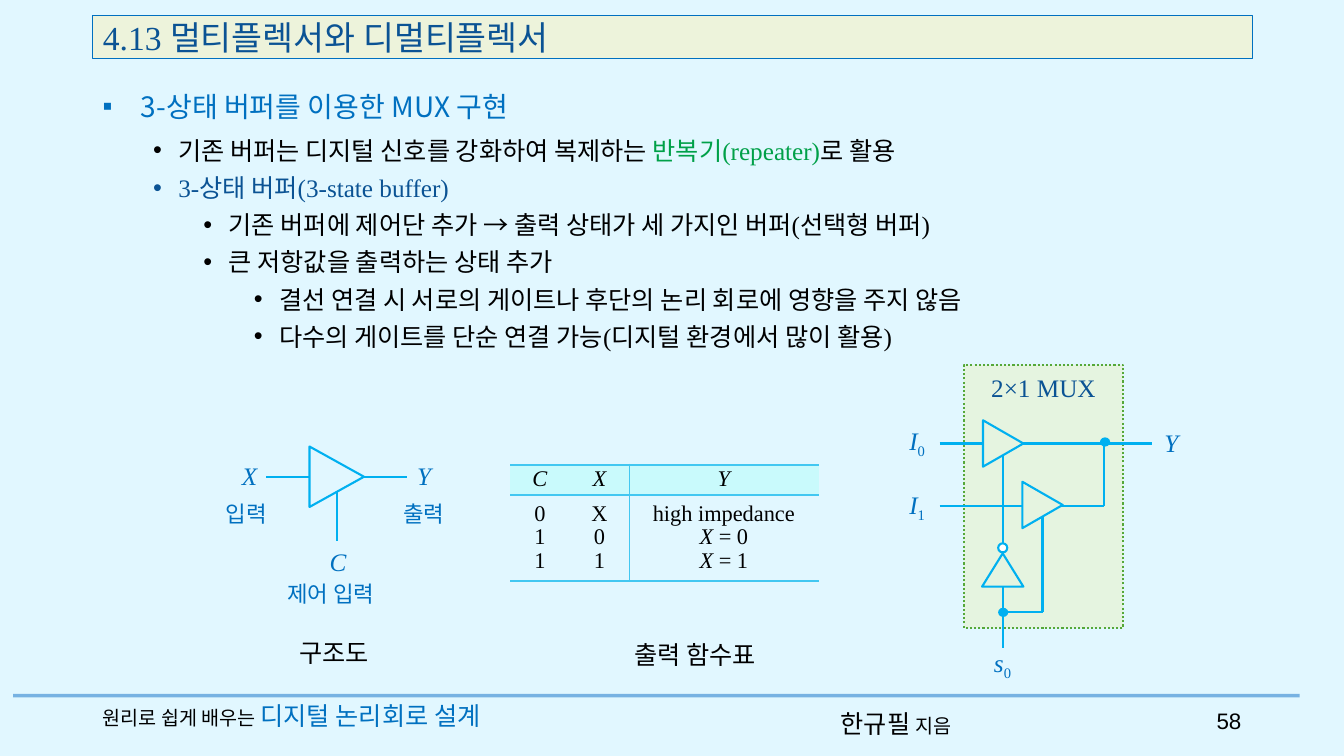
from dataclasses import dataclass
from typing import Optional, Sequence

from lxml.etree import SubElement
from pptx import Presentation
from pptx.dml.color import RGBColor
from pptx.enum.dml import MSO_LINE
from pptx.enum.shapes import MSO_CONNECTOR, MSO_SHAPE
from pptx.enum.text import MSO_ANCHOR, PP_ALIGN
from pptx.oxml.ns import qn
from pptx.util import Inches, Pt

BLACK = RGBColor(0x00, 0x00, 0x00)
WHITE = RGBColor(0xFF, 0xFF, 0xFF)
BLUE = RGBColor(0x00, 0x70, 0xC0)
NAVY = RGBColor(0x0B, 0x53, 0x94)
GREEN = RGBColor(0x00, 0xA0, 0x48)
WIRE = RGBColor(0x00, 0xB0, 0xF0)
RULE = RGBColor(0x0F, 0x6F, 0xC6)
PAGE = RGBColor(0xE1, 0xF7, 0xFF)
TITLE_FILL = RGBColor(0xED, 0xF3, 0xDB)
MUX_FILL = RGBColor(0xE5, 0xF4, 0xE0)
MUX_EDGE = RGBColor(0x55, 0xA8, 0x39)
HEAD_FILL = RGBColor(0xC9, 0xFA, 0xFC)
GRID = RGBColor(0x42, 0xC7, 0xF1)
SERIF, SANS, ARIAL = "Times New Roman", "Noto Sans CJK KR", "Arial"


@dataclass(frozen=True)
class Run:
    text: str
    size: float = 18
    color: RGBColor = BLACK
    italic: bool = False
    sub: bool = False
    font: str = SERIF


@dataclass(frozen=True)
class Label:
    box: tuple
    runs: Sequence[Run]
    align: PP_ALIGN = PP_ALIGN.LEFT
    wrap: bool = True


@dataclass(frozen=True)
class Bullet:
    level: int
    runs: Sequence[Run]


@dataclass(frozen=True)
class Wire:
    x1: float
    y1: float
    x2: float
    y2: float


@dataclass(frozen=True)
class Part:
    kind: MSO_SHAPE
    box: tuple
    fill: RGBColor
    rotation: float = 0


def add_runs(p, runs: Sequence[Run]) -> None:
    for run in runs:
        r = p.add_run()
        r.text = run.text
        r.font.size = Pt(run.size)
        r.font.name = run.font
        r.font.italic = run.italic
        r.font.color.rgb = run.color
        if run.sub:
            r.font._element.set("baseline", "-25000")


def add_bullet(p, char: str, margin: float, hang: float) -> None:
    pPr = p._p.get_or_add_pPr()
    pPr.set("marL", str(Inches(margin)))
    pPr.set("indent", str(-Inches(hang)))
    SubElement(pPr, qn("a:buFont")).set("typeface", ARIAL)
    SubElement(pPr, qn("a:buChar")).set("char", char)


def add_label(s, label: Label):
    tf = s.shapes.add_textbox(*map(Inches, label.box)).text_frame
    tf.word_wrap = label.wrap
    tf.vertical_anchor = MSO_ANCHOR.MIDDLE
    p = tf.paragraphs[0]
    p.alignment = label.align
    add_runs(p, label.runs)
    return p


def add_wire(s, wire: Wire, color: RGBColor = WIRE, width: float = 1.5):
    ends = map(Inches, (wire.x1, wire.y1, wire.x2, wire.y2))
    line = s.shapes.add_connector(MSO_CONNECTOR.STRAIGHT, *ends)
    line.line.color.rgb = color
    line.line.width = Pt(width)
    SubElement(line._element.spPr, qn("a:effectLst"))
    return line


def add_part(s, part: Part, edge: RGBColor = WIRE):
    sp = s.shapes.add_shape(part.kind, *map(Inches, part.box))
    sp.shadow.inherit = False
    sp.rotation = part.rotation
    sp.fill.solid()
    sp.fill.fore_color.rgb = part.fill
    sp.line.color.rgb = edge
    sp.line.width = Pt(1.5)
    return sp


def set_border(cell, sides: dict) -> None:
    tcPr = cell._tc.get_or_add_tcPr()
    for i, side in enumerate(s for s in "LRTB" if s in sides):
        ln = SubElement(tcPr, qn(f"a:ln{side}"), w=str(Pt(sides[side])))
        fill = SubElement(ln, qn("a:solidFill"))
        SubElement(fill, qn("a:srgbClr"), val=str(GRID))
        tcPr.insert(i, ln)


def add_truth_table(s, rows: Sequence) -> None:
    box = map(Inches, (5.06, 4.61, 3.06, 1.15))
    table = s.shapes.add_table(2, 3, *box).table
    table.first_row = table.horz_banding = False
    style = table._tbl.tblPr.find(qn("a:tableStyleId"))
    style.text = "{2D5ABB26-0587-4C30-8999-92F81FD0307C}"
    for col, width in zip(table.columns, (0.59, 0.59, 1.88)):
        col.width = Inches(width)
    for row, height in zip(table.rows, (0.3, 0.85)):
        row.height = Inches(height)
    for i, row in enumerate(rows):
        for j, lines in enumerate(row):
            cell = table.cell(i, j)
            cell.margin_left = cell.margin_right = Inches(0.07)
            cell.margin_top = cell.margin_bottom = Inches(0.02)
            cell.vertical_anchor = MSO_ANCHOR.MIDDLE
            if i == 0:
                cell.fill.solid()
                cell.fill.fore_color.rgb = HEAD_FILL
            else:
                cell.fill.background()
            side: dict = {1: {"R": 0.28}, 2: {"L": 0.28}}.get(j, {})
            set_border(cell, {"T": 1.7, "B": 1.7, **side})
            for k, runs in enumerate(lines):
                tf = cell.text_frame
                p = tf.add_paragraph() if k else tf.paragraphs[0]
                p.alignment = PP_ALIGN.CENTER
                p.line_spacing = 0.95
                add_runs(p, runs)


def signal(name: str, x: float, y: float, width: float, index: Optional[str] = None) -> Label:
    runs = [Run(name, 18, BLUE, italic=True)]
    if index:
        runs.append(Run(index, 18, BLUE, sub=True))
    return Label((x, y, width, 0.4), runs, wrap=False)


def korean(text: str, x: float, y: float, width: float) -> Label:
    return Label((x, y, width, 0.37), [Run(text, 16, BLUE)], wrap=False)


def cell_text(text: str, italic: bool = False) -> list:
    return [Run(text, 16, italic=italic)]


BULLETS = [
    Bullet(1, [Run("기존 버퍼는 디지털 신호를 강화하여 복제하는 "),
               Run("반복기(repeater)", color=GREEN), Run("로 활용")]),
    Bullet(1, [Run("3-상태 버퍼(3-state buffer)", color=NAVY)]),
    Bullet(2, [Run("기존 버퍼에 제어단 추가 → 출력 상태가 세 가지인 버퍼(선택형 버퍼)")]),
    Bullet(2, [Run("큰 저항값을 출력하는 상태 추가")]),
    Bullet(3, [Run("결선 연결 시 서로의 게이트나 후단의 논리 회로에 영향을 주지 않음")]),
    Bullet(3, [Run("다수의 게이트를 단순 연결 가능(디지털 환경에서 많이 활용)")]),
]
LABELS = [
    Label((8.24, 6.98, 1.53, 0.4), [Run("한규필 ", font=SANS), Run("지음", 14, font=SANS)]),
    Label((0.92, 6.9, 4.63, 0.4), [Run("원리로 쉽게 배우는 ", 14), Run("디지털 논리회로 설계", 18, BLUE)]),
    Label((11.79, 6.95, 0.62, 0.4), [Run("58", 16, font=ARIAL)], PP_ALIGN.RIGHT),
    Label((2.87, 6.22, 0.95, 0.51), [Run("구조도")]),
    Label((6.19, 6.24, 1.63, 0.51), [Run("출력 함수표")]),
    Label((9.58, 3.64, 1.54, 0.4), [Run("2×1 MUX", color=NAVY)], PP_ALIGN.CENTER),
    signal("X", 2.3, 4.52, 0.36), signal("Y", 4.04, 4.52, 0.34), signal("C", 3.17, 5.37, 0.37),
    korean("제어 입력", 2.75, 5.7, 1.16), korean("입력", 2.14, 4.91, 0.65), korean("출력", 3.9, 4.91, 0.65),
    signal("I", 8.92, 4.19, 0.37, "0"), signal("I", 8.92, 4.82, 0.37, "1"),
    signal("s", 9.76, 6.39, 0.38, "0"), signal("Y", 11.45, 4.19, 0.34),
]
WIRES = [
    Wire(3.34, 4.85, 3.34, 5.37), Wire(2.64, 4.73, 4.04, 4.73),
    Wire(10.34, 4.93, 10.34, 6.07), Wire(9.95, 4.44, 9.95, 6.43), Wire(9.95, 6.07, 10.34, 6.07),
    Wire(9.32, 4.4, 11.43, 4.4), Wire(9.32, 5.02, 10.95, 5.02), Wire(10.95, 4.4, 10.95, 5.02),
]
PARTS = [
    Part(MSO_SHAPE.ISOSCELES_TRIANGLE, (3.04, 4.46, 0.6, 0.54), PAGE, 90),
    Part(MSO_SHAPE.ISOSCELES_TRIANGLE, (9.72, 4.2, 0.46, 0.4), MUX_FILL, 90),
    Part(MSO_SHAPE.ISOSCELES_TRIANGLE, (10.11, 4.81, 0.46, 0.4), MUX_FILL, 90),
    Part(MSO_SHAPE.ISOSCELES_TRIANGLE, (9.74, 5.49, 0.41, 0.33), MUX_FILL),
    Part(MSO_SHAPE.OVAL, (9.9, 5.39, 0.09, 0.09), WHITE),
    Part(MSO_SHAPE.OVAL, (9.91, 6.04, 0.08, 0.07), WIRE),
    Part(MSO_SHAPE.OVAL, (10.92, 4.35, 0.08, 0.07), WIRE),
]
TRUTH_ROWS = [
    [[cell_text(name, True)] for name in "CXY"],
    [[cell_text(v) for v in "011"], [cell_text(v) for v in "X01"],
     [cell_text("high impedance"), *(cell_text("X ", True) + cell_text(f"= {v}") for v in "01")]],
]


def main() -> None:
    prs = Presentation()
    prs.slide_width, prs.slide_height = Inches(13.33), Inches(7.5)
    s = prs.slides.add_slide(prs.slide_layouts[5])
    s.background.fill.solid()
    s.background.fill.fore_color.rgb = PAGE

    title = s.shapes.title
    title.left, title.top, title.width, title.height = map(Inches, (0.92, 0.15, 11.5, 0.43))
    title.fill.solid()
    title.fill.fore_color.rgb = TITLE_FILL
    title.line.color.rgb = BLUE
    title.line.width = Pt(0.75)
    title.text_frame.vertical_anchor = MSO_ANCHOR.MIDDLE
    p = title.text_frame.paragraphs[0]
    p.alignment = PP_ALIGN.LEFT
    add_runs(p, [Run("4.13 멀티플렉서와 디멀티플렉서", 24, NAVY)])

    rule = add_wire(s, Wire(0.13, 6.9, 12.89, 6.9), RULE, 2.5)
    SubElement(next(rule._element.iter(qn("a:srgbClr"))), qn("a:alpha")).set("val", "50000")
    heading = Label((0.92, 0.83, 11.5, 0.44), [Run("3-상태 버퍼를 이용한 MUX 구현", 20, BLUE, font=SANS)])
    add_bullet(add_label(s, heading), "▪", 0.38, 0.38)

    tf = s.shapes.add_textbox(*map(Inches, (0.92, 1.29, 11.5, 2.31))).text_frame
    tf.word_wrap = True
    for i, bullet in enumerate(BULLETS):
        p = tf.add_paragraph() if i else tf.paragraphs[0]
        p.space_before = Pt(5)
        add_bullet(p, "•", 0.25 + 0.5 * bullet.level, 0.25)
        add_runs(p, bullet.runs)

    mux = add_part(s, Part(MSO_SHAPE.RECTANGLE, (9.56, 3.62, 1.58, 2.61), MUX_FILL), MUX_EDGE)
    mux.line.dash_style = MSO_LINE.ROUND_DOT
    for wire in WIRES:
        add_wire(s, wire)
    for part in PARTS:
        add_part(s, part)
    for label in LABELS:
        add_label(s, label)
    add_truth_table(s, TRUTH_ROWS)
    prs.save("out.pptx")


if __name__ == "__main__":
    main()
